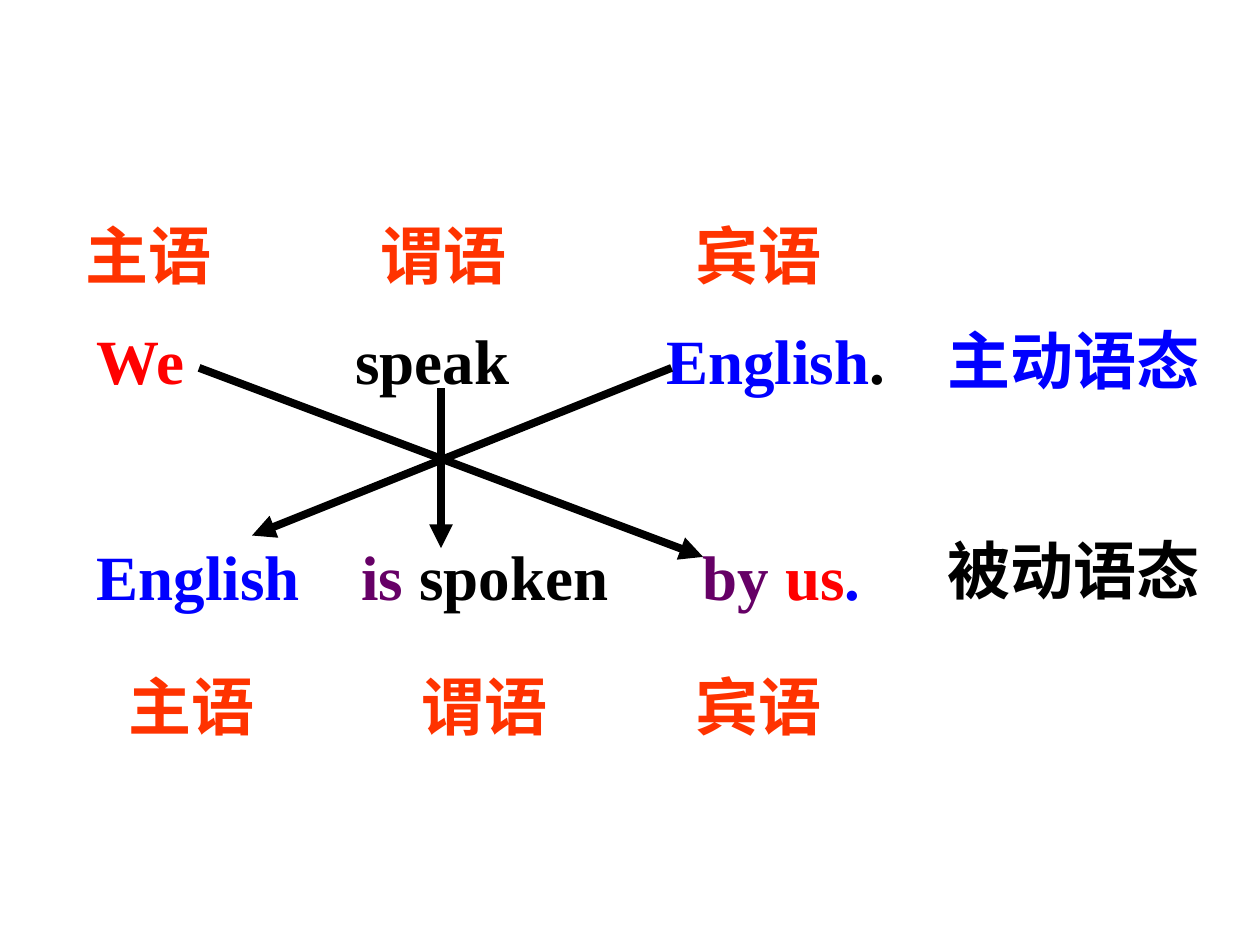
from lxml import etree
from pptx import Presentation
from pptx.dml.color import RGBColor
from pptx.enum.shapes import MSO_CONNECTOR
from pptx.enum.text import MSO_AUTO_SIZE
from pptx.oxml.ns import qn
from pptx.util import Inches, Pt

BLACK = RGBColor(0x00, 0x00, 0x00)
BLUE = RGBColor(0x00, 0x00, 0xFF)
RED = RGBColor(0xFF, 0x00, 0x00)
ORANGE = RGBColor(0xFF, 0x33, 0x00)
PURPLE = RGBColor(0x66, 0x00, 0x66)

presentation = Presentation()
presentation.slide_width = Inches(10)
presentation.slide_height = Inches(7.5)
slide = presentation.slides.add_slide(presentation.slide_layouts[6])


def add_text(parts, left, top, width, tab_stops=(), size=36, font_name="Times New Roman"):
    """Add one line of (text, colour) parts, with tab stops in inches."""
    box = slide.shapes.add_textbox(Inches(left), Inches(top), Inches(width), Inches(0.7))
    frame = box.text_frame
    frame.word_wrap = True
    frame.auto_size = MSO_AUTO_SIZE.SHAPE_TO_FIT_TEXT
    paragraph = frame.paragraphs[0]
    if tab_stops:
        properties = paragraph._p.get_or_add_pPr()
        tab_list = etree.SubElement(properties, qn("a:tabLst"))
        for position in tab_stops:
            etree.SubElement(tab_list, qn("a:tab"), pos=str(Inches(position)), algn="l")
    for text, color in parts:
        run = paragraph.add_run()
        run.text = text
        run.font.name = font_name
        run.font.size = Pt(size)
        run.font.bold = True
        run.font.color.rgb = color


def add_arrow(start_x, start_y, end_x, end_y):
    arrow = slide.shapes.add_connector(
        MSO_CONNECTOR.STRAIGHT,
        Inches(start_x), Inches(start_y), Inches(end_x), Inches(end_y),
    )
    arrow.line.color.rgb = BLACK
    arrow.line.width = Pt(4.5)
    etree.SubElement(arrow.line._get_or_add_ln(), qn("a:tailEnd"), type="triangle")
    etree.SubElement(arrow._element.spPr, qn("a:effectLst"))


# Active and passive sentences
active_sentence = [("We", RED), ("\tspeak", BLACK), ("\tEnglish", BLUE), (".", BLACK)]
passive_sentence = [
    ("English", BLUE), ("\tis ", PURPLE), ("spoken", BLACK),
    ("\tby ", PURPLE), ("us", RED), (".", BLUE),
]
add_text(active_sentence, 0.67, 2.5, 6.58, tab_stops=(2.05, 4.52))
add_text(passive_sentence, 0.67, 4.22, 6.58, tab_stops=(2.1, 4.81))

# Sentence parts above and below
for top, lefts in ((1.67, (0.58, 2.92, 5.42)), (5.25, (0.92, 3.25, 5.42))):
    for label, left in zip(("主语", "谓语", "宾语"), lefts):
        add_text([(label, ORANGE)], left, top, 1.5)

# Object to subject, verb to verb, subject to agent
add_arrow(5.33, 2.92, 2, 4.25)
add_arrow(3.5, 3.08, 3.5, 4.35)
add_arrow(1.58, 2.92, 5.58, 4.42)

# Names of the voices
add_text([("主动语态", BLUE)], 7.42, 2.5, 2.5)
add_text([("被动语态", BLACK)], 7.42, 4.17, 2.5)

presentation.save("out.pptx")
